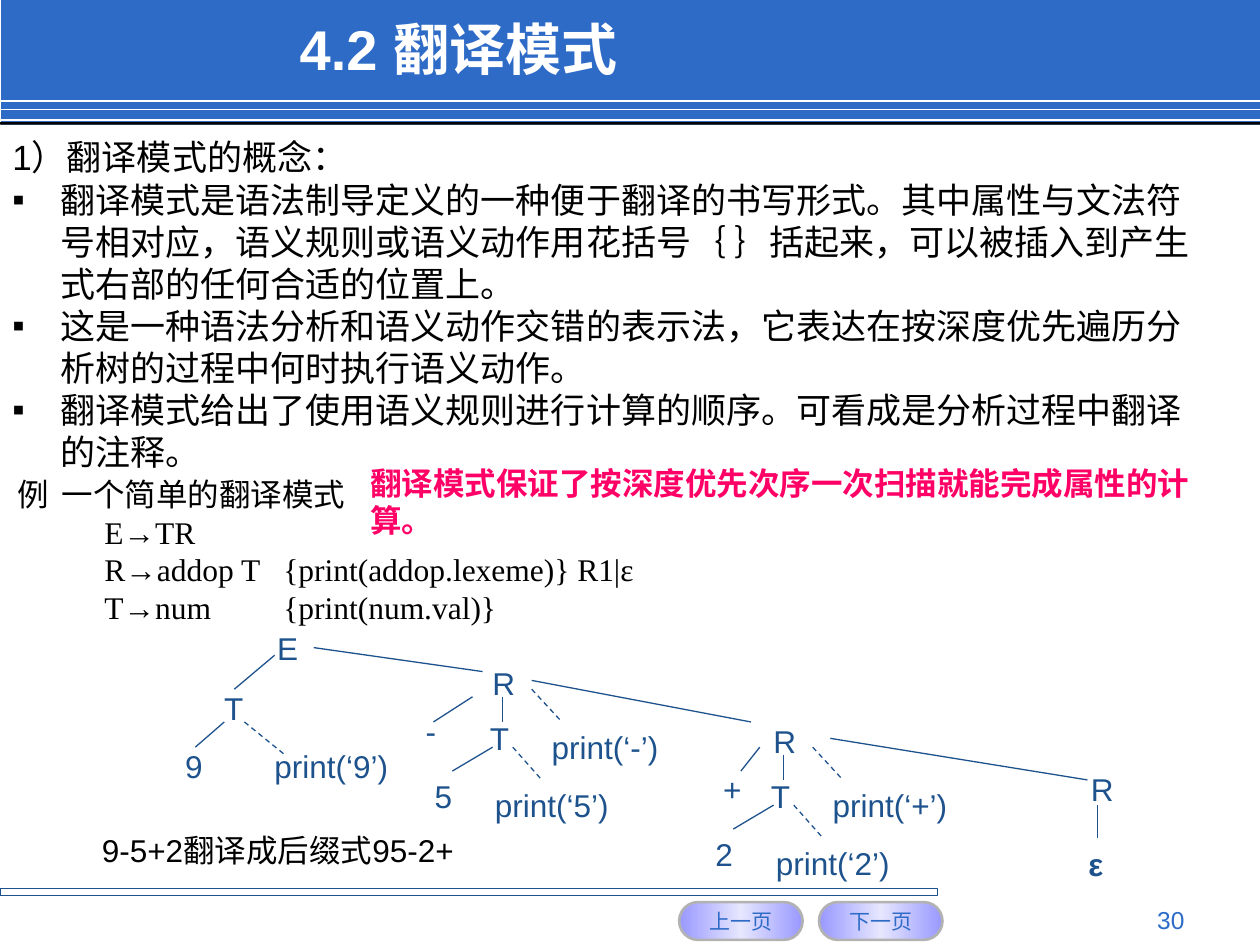
from copy import deepcopy
from pptx import Presentation
from pptx.dml.color import RGBColor as RGB
from pptx.enum.dml import MSO_LINE as Dash
from pptx.enum.shapes import MSO_CONNECTOR as Conn, MSO_SHAPE as Form
from pptx.enum.text import MSO_ANCHOR as Anchor, MSO_AUTO_SIZE as Auto, PP_ALIGN as Align
from pptx.oxml.ns import qn
from pptx.oxml.xmlchemy import OxmlElement as Node
from pptx.util import Inches, Pt

# The slide is a grid of 10 columns and 7.5 rows, one inch each
COLS, ROWS = 10, 7.5
HUE = {
    "bar": "2D6BC7", "tree": "1D528D", "white": "FFFFFF", "black": "000000",
    "pink": "FF0066", "edge": "B2B2B2", "lilac": "9999FF", "pale": "E6E6FF",
}


def rgb(name):
    return RGB.from_string(HUE[name])


def add(root, tag, **attrs):
    node = Node(tag)
    for key, value in attrs.items():
        node.set(key, str(value))
    root.append(node)
    return node


def hang(para):
    """Give a paragraph a hanging indent."""
    props = para._p.get_or_add_pPr()
    props.set("marL", str(Inches(0.38)))
    props.set("indent", str(-Inches(0.38)))
    return props


def mark(para):
    """Put a square bullet in the hanging indent."""
    props = hang(para)
    add(add(props, "a:buClr"), "a:srgbClr", val=HUE["black"])
    add(props, "a:buFont", typeface="Arial")
    add(props, "a:buChar", char="▪")


def stops(para, places):
    tabs = add(para._p.get_or_add_pPr(), "a:tabLst")
    for place in places:
        add(tabs, "a:tab", pos=Inches(place), algn="l")


def style(para, size, hue, bold=False, face="Arial"):
    font = para.font
    font.size, font.name, font.bold = Pt(size), face, bold
    font.color.rgb = rgb(hue)


def label(slide, text, x, y, w, h=0.4, size=18, hue="tree", bold=False,
          wrap=True, align=Align.LEFT, grow=True):
    box = slide.shapes.add_textbox(*map(Inches, (x, y, w, h)))
    frame = box.text_frame
    frame.word_wrap = wrap
    frame.auto_size = Auto.SHAPE_TO_FIT_TEXT if grow else Auto.NONE
    frame.text = text
    for para in frame.paragraphs:
        para.alignment = align
        style(para, size, hue, bold)
    return frame


def line(slide, x1, y1, x2, y2, hue="tree", width=0.75, dash=False):
    link = slide.shapes.add_connector(Conn.STRAIGHT, *map(Inches, (x1, y1, x2, y2)))
    link.line.color.rgb = rgb(hue)
    link.line.width = Pt(width)
    if dash:
        link.line.dash_style = Dash.DASH
    add(link._element.spPr, "a:effectLst")


def block(slide, x, y, w, h, fill=None, edge=None, width=0.75, form=Form.RECTANGLE):
    shape = slide.shapes.add_shape(form, *map(Inches, (x, y, w, h)))
    shape.shadow.inherit = False
    if fill:
        shape.fill.solid()
        shape.fill.fore_color.rgb = rgb(fill)
    else:
        shape.fill.background()
    if edge:
        shape.line.color.rgb = rgb(edge)
        shape.line.width = Pt(width)
    else:
        shape.line.fill.background()
    return shape


def button(slide, text, x):
    shape = block(slide, x, 7.16, 0.98, 0.3, edge="edge", width=1.5,
                  form=Form.ROUNDED_RECTANGLE)
    shape.adjustments[0] = 0.5
    shape.fill.gradient()
    shape.fill.gradient_angle = 0
    ramp = shape._element.spPr.find(".//" + qn("a:gsLst"))
    ramp.insert(1, deepcopy(ramp[0]))
    for i, (stop, hue) in enumerate(zip(shape.fill.gradient_stops, ("lilac", "pale", "lilac"))):
        stop.position = i / 2
        stop.color.rgb = rgb(hue)
    frame = shape.text_frame
    frame.word_wrap = False
    frame.vertical_anchor = Anchor.MIDDLE
    frame.text = text
    frame.paragraphs[0].alignment = Align.CENTER
    style(frame.paragraphs[0], 12, "bar")


def leaf(slide, text, x, y, bold=False):
    width = 1.15 if len(text) > 1 else 0.38
    label(slide, text, x, y, width, bold=bold, wrap=False, grow=False)


def branch(slide, x, y, sign, digit, spot, twig):
    """Draw an R node with its sign, its T node and both print actions."""
    for text, dx, dy in (("R", 0, 0), ("T", -0.02, 0.44), (digit, -0.46, 0.9),
                         (f"print(‘{digit}’)", 0.02, 0.97),
                         (f"print(‘{sign}’)", 0.47, 0.51)):
        leaf(slide, text, x + dx, y + dy)
    leaf(slide, sign, *spot)
    line(slide, *twig)
    for x1, y1, x2, y2, dash in ((0.18, 0.31, 0.18, 0.51, False),
                                 (0.1, 0.71, -0.22, 0.9, False),
                                 (0.26, 0.71, 0.49, 0.97, True),
                                 (0.41, 0.25, 0.65, 0.51, True)):
        line(slide, x + x1, y + y1, x + x2, y + y2, dash=dash)


def frame_page(slide):
    # Header band with its rules
    block(slide, 0.01, 0, COLS - 0.01, 0.99, fill="bar")
    for y in (0.8, 0.87, 0.95):
        line(slide, 0, y, COLS, y, hue="white", width=1)
    block(slide, 0, 0.97, COLS, 0.02, fill="black")
    # Footer
    block(slide, 0, 7.05, 7.44, 0.06, edge="tree")
    button(slide, "上一页", 5.39)
    button(slide, "下一页", 6.5)
    label(slide, "30", 7.17, 7.13, 2.33, 0.27, 14, "bar", align=Align.RIGHT, grow=False)


def write(slide):
    # Title and body
    title = label(slide, "4.2 翻译模式", 2.28, 0.09, 6.92, 0.58, 32, "white", True, grow=False)
    title.vertical_anchor = Anchor.MIDDLE
    points = (
        "1）翻译模式的概念：",
        "翻译模式是语法制导定义的一种便于翻译的书写形式。其中属性与文法符号相对应，"
        "语义规则或语义动作用花括号｛ ｝括起来，可以被插入到产生式右部的任何合适的位置上。",
        "这是一种语法分析和语义动作交错的表示法，它表达在按深度优先遍历分析树的过程中何时执行语义动作。",
        "翻译模式给出了使用语义规则进行计算的顺序。可看成是分析过程中翻译的注释。",
    )
    body = label(slide, "\n".join(points), 0, 1.03, 9.73, 5.98, 20, "black", grow=False)
    for i, para in enumerate(body.paragraphs):
        (mark if i else hang)(para)
    label(slide, "翻译模式保证了按深度优先次序一次扫描就能完成属性的计算。",
          2.84, 3.63, 6.8, hue="pink", bold=True)
    # Grammar
    rules = ("例\t一个简单的翻译模式", "\tE→TR",
             "\tR→addop T\t{print(addop.lexeme)} R1|ε", "\tT→num\t{print(num.val)}")
    text = label(slide, "\n".join(rules), 0.04, 3.72, 8.11, 1.3, hue="black")
    for i, para in enumerate(text.paragraphs):
        stops(para, (0.69, 2.11) if i else (0.35,))
        if i:
            para.font.name = "Times New Roman"
    label(slide, "9-5+2翻译成后缀式95-2+", 0.71, 6.55, 3.39, hue="black")


def grow_tree(slide):
    # Root and its left side
    for text, x, y in (("E", 2.1, 4.94), ("T", 1.68, 5.42), ("9", 1.37, 5.88),
                       ("print(‘9’)", 2.08, 5.88), ("R", 8.56, 6.06)):
        leaf(slide, text, x, y)
    leaf(slide, "ε", 8.54, 6.66, bold=True)
    line(slide, 2.18, 5.2, 1.86, 5.47)
    line(slide, 1.78, 5.73, 1.55, 5.93)
    line(slide, 1.94, 5.73, 2.26, 5.99, dash=True)
    # Two like branches
    branch(slide, 3.81, 5.22, "-", "5", (3.28, 5.6), (3.75, 5.53, 3.44, 5.73))
    branch(slide, 6.04, 5.68, "+", "2", (5.64, 6.06), (6.03, 5.93, 5.88, 6.12))
    # Links from each R to the next, and the last leaf
    for ends in ((2.49, 5.14, 3.83, 5.33), (4.22, 5.4, 5.96, 5.73),
                 (6.59, 5.86, 8.63, 6.19), (8.71, 6.39, 8.71, 6.65)):
        line(slide, *ends)


def main():
    deck = Presentation()
    deck.slide_width, deck.slide_height = Inches(COLS), Inches(ROWS)
    slide = deck.slides.add_slide(deck.slide_layouts[6])
    frame_page(slide)
    write(slide)
    grow_tree(slide)
    deck.save("out.pptx")


if __name__ == "__main__":
    main()
